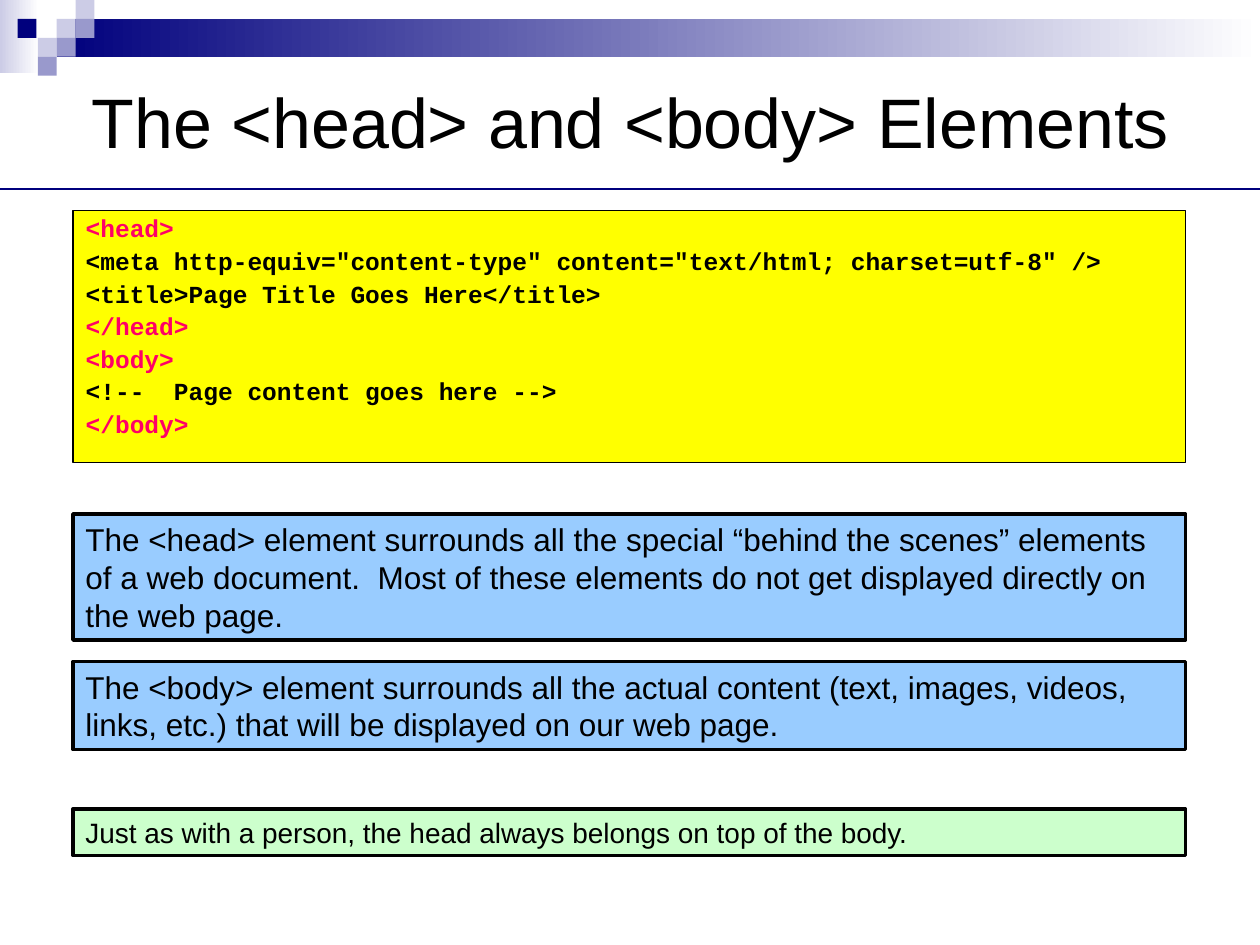
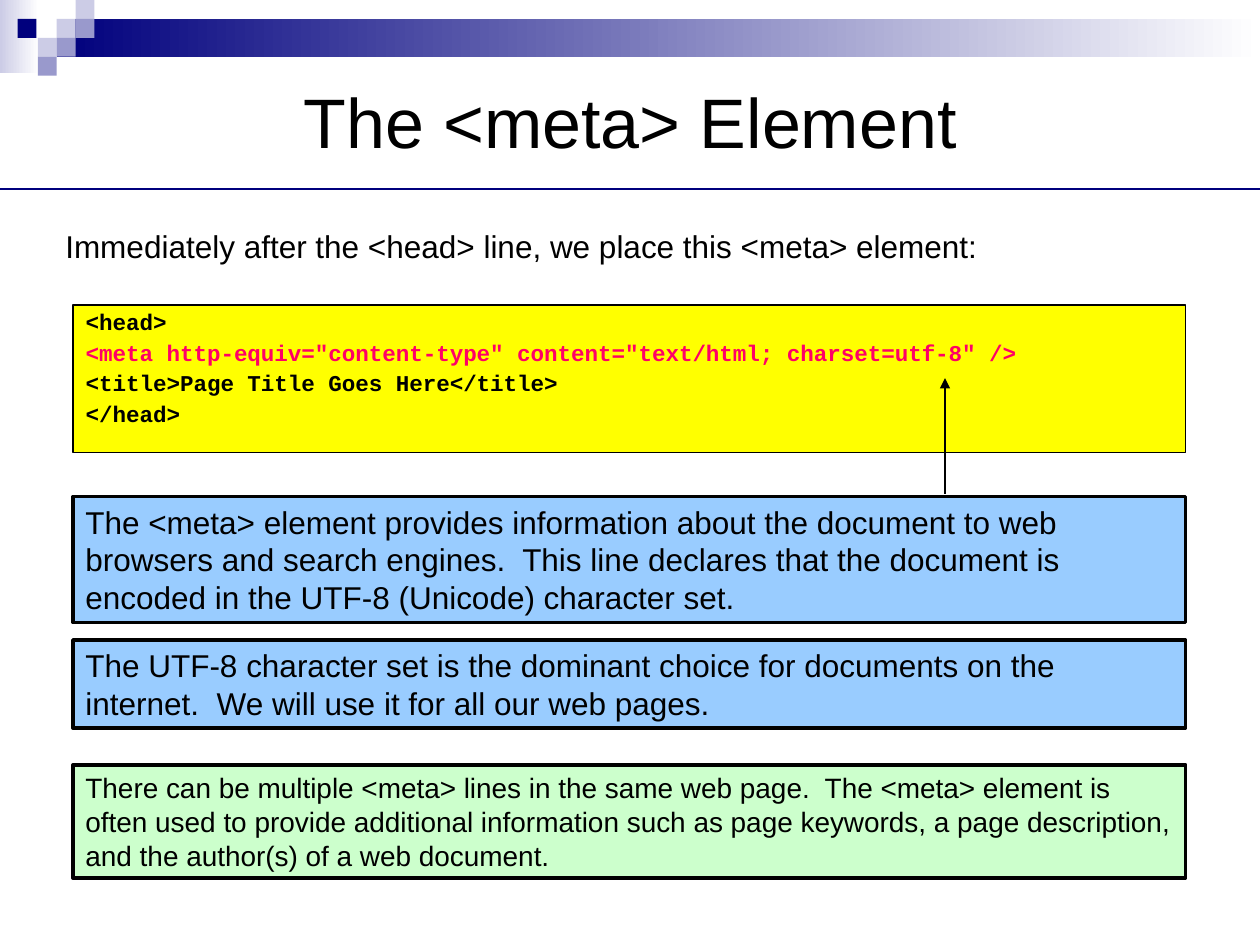
import pptx
import pptx.util
import pptx.dml.color
import pptx.enum.shapes
import pptx.enum.text
import pptx.oxml
import pptx.oxml.ns

Inches, Pt = pptx.util.Inches, pptx.util.Pt
RGB = pptx.dml.color.RGBColor
RECT = pptx.enum.shapes.MSO_SHAPE.RECTANGLE
STRAIGHT = pptx.enum.shapes.MSO_CONNECTOR.STRAIGHT
ALIGN = pptx.enum.text.PP_ALIGN
ANCHOR = pptx.enum.text.MSO_ANCHOR
FIT = pptx.enum.text.MSO_AUTO_SIZE

NAVY, LAVENDER, PERIWINKLE = RGB(0, 0, 0x7D), RGB(0xCC, 0xCC, 0xE6), RGB(0x99, 0x99, 0xCC)
BLACK, WHITE, PINK = RGB(0, 0, 0), RGB(255, 255, 255), RGB(0xFF, 0, 0x66)
YELLOW, BLUE, GREEN = RGB(255, 255, 0), RGB(0x99, 0xCC, 0xFF), RGB(0xCC, 0xFF, 0xCC)

# Content: code lines are (text, highlighted); notes are (style, top, height, text)
SLIDES = [
    {
        "title": "The <head> and <body> Elements",
        "code": {"top": 1.67, "height": 2, "size": 14, "lines": [
            ("<head>", True),
            ('<meta http-equiv="content-type" content="text/html; charset=utf-8" />', False),
            ("<title>Page Title Goes Here</title>", False),
            ("</head>", True),
            ("<body>", True),
            ("<!--  Page content goes here -->", False),
            ("</body>", True),
        ]},
        "notes": [
            ("fact", 4.08, 1, "The <head> element surrounds all the special “behind the scenes” "
             "elements of a web document.  Most of these elements do not get displayed "
             "directly on the web page."),
            ("fact", 5.25, 0.7, "The <body> element surrounds all the actual content (text, images, "
             "videos, links, etc.) that will be displayed on our web page."),
            ("aside", 6.42, 0.37, "Just as with a person, the head always belongs on top of the body."),
        ],
    },
    {
        "title": "The <meta> Element",
        "intro": "Immediately after the <head> line, we place this <meta> element:",
        "code": {"top": 2.42, "height": 1.17, "size": 12.9, "lines": [
            ("<head>", False),
            ('<meta http-equiv="content-type" content="text/html; charset=utf-8" />', True),
            ("<title>Page Title Goes Here</title>", False),
            ("</head>", False),
        ]},
        "arrow": (7.5, 3.92, 7.5, 3),
        "notes": [
            ("fact", 3.94, 1, "The <meta> element provides information about the document to web "
             "browsers and search engines.  This line declares that the document is encoded "
             "in the UTF-8 (Unicode) character set."),
            ("fact", 5.08, 0.7, "The UTF-8 character set is the dominant choice for documents on "
             "the internet.  We will use it for all our web pages."),
            ("aside", 6.07, 0.9, "There can be multiple <meta> lines in the same web page.  The "
             "<meta> element is often used to provide additional information such as page "
             "keywords, a page description, and the author(s) of a web document."),
        ],
    },
]

# Shared layout and styles
WIDTH, HEIGHT = 10, 7.5
BOX_LEFT, BOX_WIDTH = 0.58, 8.83
TITLE_AT = (0.05 * WIDTH, 0.42, 0.9 * WIDTH, 1.08)
RULE_AT = (0, HEIGHT / 5, WIDTH, HEIGHT / 5)
NOTE_STYLES = {"fact": (BLUE, 18), "aside": (GREEN, 16)}
CELL = 0.15
BANDS = [((0, 0, 0.31, 0.58), LAVENDER), ((3 * CELL, CELL, WIDTH - 3 * CELL, 2 * CELL), NAVY)]
# Mosaic squares as (column, row, colour)
MOSAIC = [(3, 1, LAVENDER), (4, 0, LAVENDER), (4, 1, PERIWINKLE), (2, 2, LAVENDER),
          (0.93, 1, NAVY), (3, 2, PERIWINKLE), (2, 3, PERIWINKLE)]


def inches(values):
    return [Inches(v) for v in values]


def apply(obj, values):
    for name, value in values.items():
        setattr(obj, name, value)


def place(sp, at):
    apply(sp, dict(zip(("left", "top", "width", "height"), inches(at))))


def paint(sp, fill, line_width):
    sp.fill.solid()
    sp.fill.fore_color.rgb = fill
    sp.line.color.rgb = BLACK
    sp.line.width = Pt(line_width)


def write(p, text, size, font="Arial", color=BLACK, bold=False, **layout):
    r = p.add_run()
    r.text = text
    apply(r.font, {"name": font, "size": Pt(size), "bold": bold})
    r.font.color.rgb = color
    apply(p, layout)


def add_rect(shapes, at):
    sp = shapes.add_shape(RECT, *inches(at))
    sp.shadow.inherit = False
    return sp


def add_line(s, ends, color, width, arrow=False):
    cx = s.shapes.add_connector(STRAIGHT, *inches(ends))
    cx.line.color.rgb = color
    cx.line.width = Pt(width)
    if arrow:
        pptx.oxml.ns.qn("a:tailEnd")
        ln = cx.line.fill and cx.element.spPr.find(pptx.oxml.ns.qn("a:ln"))
        ln.append(pptx.oxml.parse_xml(
            '<a:tailEnd %s type="triangle"/>' % pptx.oxml.ns.nsdecls("a")))
    cx.element.spPr.append(pptx.oxml.parse_xml("<a:effectLst %s/>" % pptx.oxml.ns.nsdecls("a")))


def decorate_master(prs, s):
    """Draw the top bands and mosaic as a group, then move it to the master."""
    grp = s.shapes.add_group_shape()
    for at, color in BANDS:
        sp = add_rect(grp.shapes, at)
        sp.fill.gradient()
        sp.fill.gradient_angle = 0
        for stop, stop_color in zip(sp.fill.gradient_stops, (color, WHITE)):
            stop.color.rgb = stop_color
        sp.line.fill.background()
    for col, row, color in MOSAIC:
        sp = add_rect(grp.shapes, (col * CELL, row * CELL, CELL, CELL))
        sp.fill.solid()
        sp.fill.fore_color.rgb = color
        sp.line.fill.background()
    for number, props in enumerate(grp.element.xpath(".//p:cNvPr"), 100):
        props.set("id", str(number))
    prs.slide_master.element.cSld.spTree.insert(2, grp.element)


def add_title(s, text):
    sp = s.shapes.title
    place(sp, TITLE_AT)
    tf = sp.text_frame
    apply(tf, {"vertical_anchor": ANCHOR.MIDDLE, "auto_size": FIT.NONE})
    write(tf.paragraphs[0], text, 40, alignment=ALIGN.CENTER)


def add_code(s, code):
    sp = s.placeholders[1]
    place(sp, (BOX_LEFT, code["top"], BOX_WIDTH, code["height"]))
    paint(sp, YELLOW, 0.75)
    tf = sp.text_frame
    apply(tf, {"vertical_anchor": ANCHOR.TOP, "auto_size": FIT.NONE})
    for i, (text, highlighted) in enumerate(code["lines"]):
        p = tf.add_paragraph() if i else tf.paragraphs[0]
        write(p, text, code["size"], "Courier New", PINK if highlighted else BLACK, True,
              line_spacing=0.9, space_before=Pt(3.5))
        pPr = p._p.get_or_add_pPr()
        pPr.set("marL", str(Inches(0.38)))
        pPr.set("indent", str(-Inches(0.38)))
        pPr.append(pptx.oxml.parse_xml("<a:buNone %s/>" % pptx.oxml.ns.nsdecls("a")))


def add_note(s, style, top, height, text):
    fill, size = NOTE_STYLES[style]
    sp = add_rect(s.shapes, (BOX_LEFT, top, BOX_WIDTH, height))
    paint(sp, fill, 2)
    tf = sp.text_frame
    apply(tf, {"word_wrap": True, "vertical_anchor": ANCHOR.TOP, "auto_size": FIT.SHAPE_TO_FIT_TEXT})
    write(tf.paragraphs[0], text, size, alignment=ALIGN.LEFT,
          space_before=Pt(6), space_after=Pt(6))


def add_intro(s, text):
    tf = s.shapes.add_textbox(*inches((0.42, 1.75, 7.44, 0.4))).text_frame
    apply(tf, {"word_wrap": False, "auto_size": FIT.SHAPE_TO_FIT_TEXT})
    write(tf.paragraphs[0], text, 18)


def main():
    prs = pptx.Presentation()
    prs.slide_width, prs.slide_height = inches((WIDTH, HEIGHT))
    for i, content in enumerate(SLIDES):
        s = prs.slides.add_slide(prs.slide_layouts[1])
        if i == 0:
            decorate_master(prs, s)
        add_title(s, content["title"])
        add_line(s, RULE_AT, NAVY, 1.25)
        if "intro" in content:
            add_intro(s, content["intro"])
        add_code(s, content["code"])
        if "arrow" in content:
            add_line(s, content["arrow"], BLACK, 0.75, arrow=True)
        for note in content["notes"]:
            add_note(s, *note)
    prs.save("out.pptx")


if __name__ == "__main__":
    main()
